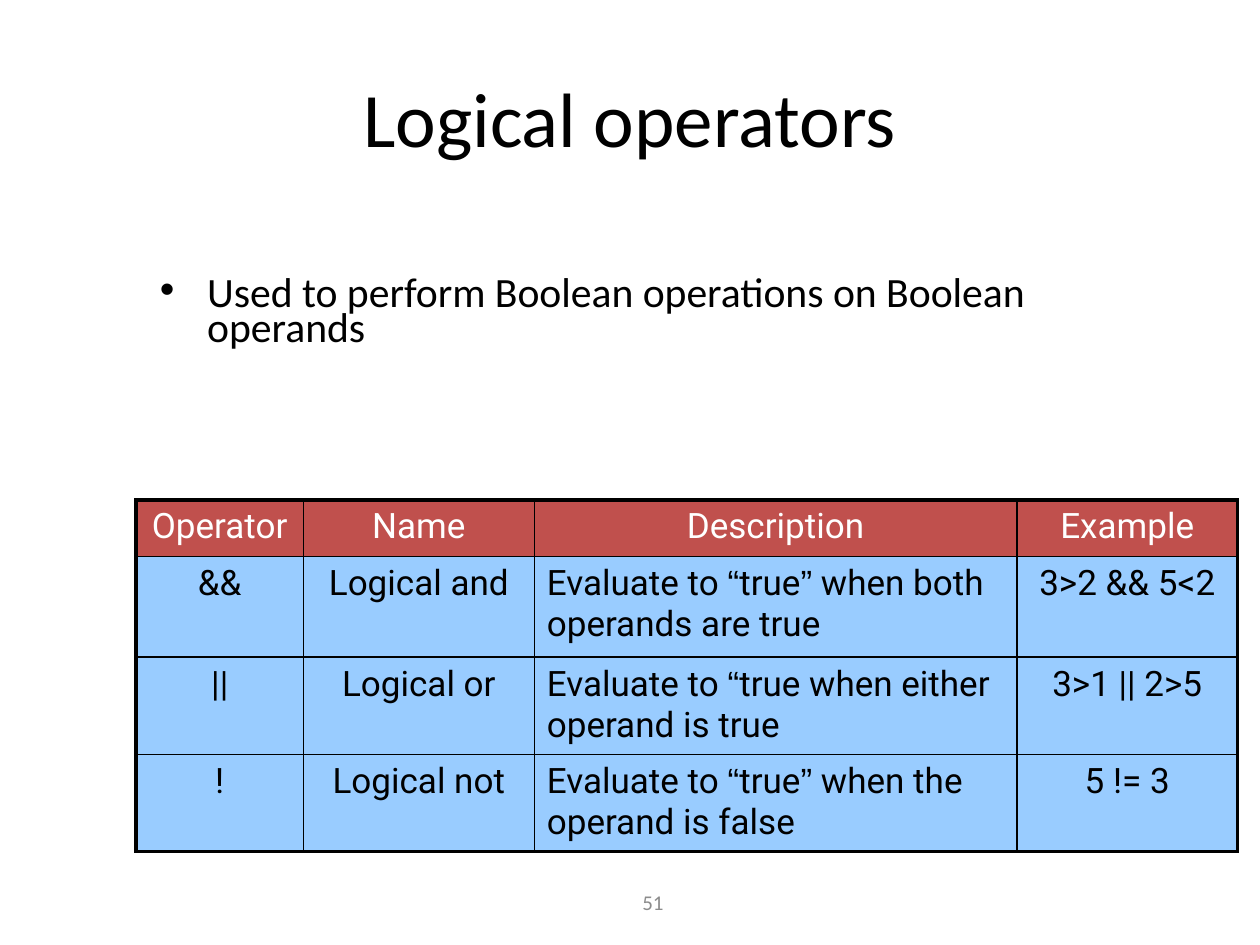
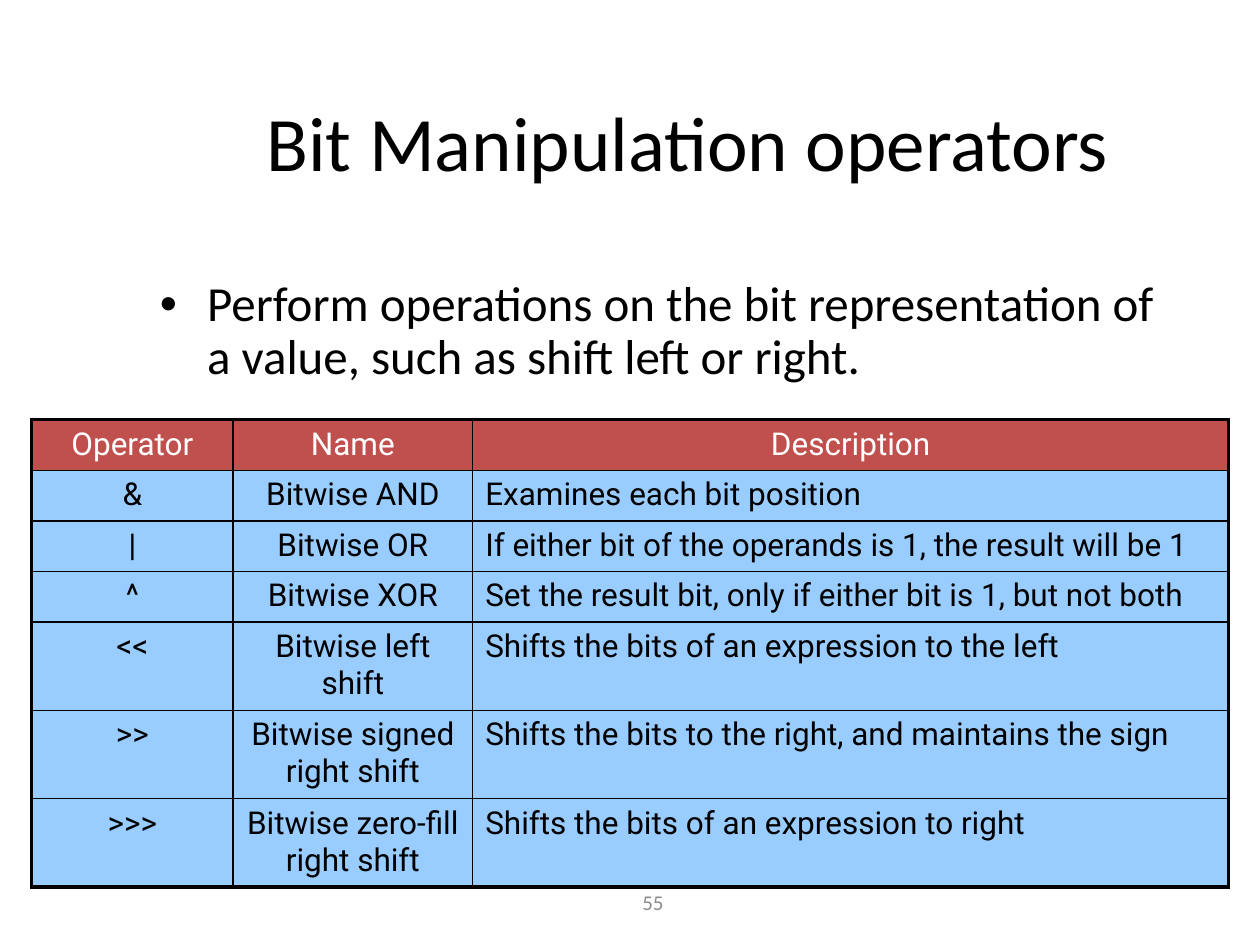
"""Build two slides that list logical and bitwise operators in tables."""
from dataclasses import dataclass
from itertools import groupby

from lxml.etree import SubElement
from pptx import Presentation
from pptx.dml.color import RGBColor
from pptx.enum.text import MSO_ANCHOR, MSO_AUTO_SIZE, PP_ALIGN
from pptx.oxml.ns import qn
from pptx.util import Cm, Pt

SLIDES = [
    dict(
        title="Logical operators", title_box=(1.27, 0.76, 22.86, 3.18),
        point="Used to perform Boolean operations on Boolean operands",
        point_box=(2.97, 5.51, 20.96, 1.7), point_size=23.8, lead=0.7,
        start=(2.74, 10.08), cols=[3.38, 4.65, 9.73, 4.45],
        tall=[1.14, 2.03, 1.96, 1.96], size=20, page="51",
        rows=[
            ("Operator", "Name", "Description", "Example"),
            ("&&", "Logical and", "Evaluate to “true” when both operands are true", "3>2 && 5<2"),
            ("||", "Logical or", "Evaluate to “true when either operand is true", "3>1 || 2>5"),
            ("!", "Logical not", "Evaluate to “true” when the operand is false", "5 != 3"),
        ],
    ),
    dict(
        title="Bit Manipulation operators", title_box=(2.97, 0.84, 21.79, 3.99),
        point="Perform operations on the bit representation of a value, such as shift left or right.",
        point_box=(2.97, 5.51, 20.96, 2.54), point_size=28, lead=0.9,
        start=(0.64, 8.46), cols=[4.06, 4.83, 15.24],
        tall=[1.02] * 4 + [1.78] * 3, size=18, page="55",
        rows=[
            ("Operator", "Name", "Description"),
            ("&", "Bitwise AND", "Examines each bit position"),
            ("|", "Bitwise OR", "If either bit of the operands is 1, the result will be 1"),
            ("^", "Bitwise XOR", "Set the result bit, only if either bit is 1, but not both"),
            ("<<", "Bitwise left shift", "Shifts the bits of an expression to the left"),
            (">>", "Bitwise signed right shift", "Shifts the bits to the right, and maintains the sign"),
            (">>>", "Bitwise zero-fill right shift", "Shifts the bits of an expression to right"),
        ],
    ),
]
PAGE_BOX = (12.7, 17.86, 1.7, 0.66)
TEXT_COL = 2


@dataclass(frozen=True)
class Theme:
    ink: str = "000000"
    light: str = "FFFFFF"
    grey: str = "8C8C8C"
    head: str = "C0504D"
    body: str = "99CCFF"
    main: str = "Calibri"
    grid: str = "Roboto"
    quote: str = "Arial"
    title: float = 44
    page: float = 12
    thin: float = 1
    thick: float = 2.25


THEME = Theme()


def write(frame, text, *, size, font=THEME.main, color=THEME.ink,
          align=PP_ALIGN.LEFT, lead=1.0, anchor=MSO_ANCHOR.TOP):
    frame.word_wrap = True
    frame.vertical_anchor = anchor
    para = frame.paragraphs[0]
    para.alignment = align
    para.line_spacing = lead
    para.space_before = Pt(0)
    for quoted, chars in groupby(text, lambda char: char in "“”"):
        run = para.add_run()
        run.text = "".join(chars)
        run.font.name = THEME.quote if quoted else font
        run.font.size = Pt(size)
        run.font.bold = False
        run.font.color.rgb = RGBColor.from_string(color)


def place(shape, box):
    shape.left, shape.top, shape.width, shape.height = map(Cm, box)
    shape.text_frame.auto_size = MSO_AUTO_SIZE.NONE


def edge(cell, sides):
    props = cell._tc.get_or_add_tcPr()
    for spot, (side, outer) in enumerate(sides.items()):
        width = Pt(THEME.thick if outer else THEME.thin)
        line = SubElement(props, qn(f"a:ln{side}"), w=str(width))
        fill = SubElement(line, qn("a:solidFill"))
        SubElement(fill, qn("a:srgbClr"), val=THEME.ink)
        props.insert(spot, line)


def add_grid(slide, rows, start, cols, tall, size):
    left, top, width, height = map(Cm, (*start, sum(cols), sum(tall)))
    table = slide.shapes.add_table(len(rows), len(cols), left, top, width, height).table
    table.first_row = table.horz_banding = False
    for col, width in zip(table.columns, cols):
        col.width = Cm(width)
    for row, height in zip(table.rows, tall):
        row.height = Cm(height)
    for y, row in enumerate(rows):
        for x, text in enumerate(row):
            cell = table.cell(y, x)
            head = y == 0
            cell.fill.solid()
            cell.fill.fore_color.rgb = RGBColor.from_string(THEME.head if head else THEME.body)
            write(cell.text_frame, text, size=size, font=THEME.grid,
                  color=THEME.light if head else THEME.ink,
                  align=PP_ALIGN.LEFT if x == TEXT_COL and not head else PP_ALIGN.CENTER)
            edge(cell, dict(L=x == 0, R=x == len(cols) - 1, T=head, B=y == len(rows) - 1))


def add_page(deck, data):
    slide = deck.slides.add_slide(deck.slide_layouts[1])
    title, point = slide.shapes.title, slide.placeholders[1]
    place(title, data["title_box"])
    write(title.text_frame, data["title"], size=THEME.title,
          align=PP_ALIGN.CENTER, anchor=MSO_ANCHOR.MIDDLE)
    place(point, data["point_box"])
    write(point.text_frame, data["point"], size=data["point_size"], lead=data["lead"])
    add_grid(slide, *(data[key] for key in ("rows", "start", "cols", "tall", "size")))
    page = slide.shapes.add_textbox(*map(Cm, PAGE_BOX))
    write(page.text_frame, data["page"], size=THEME.page,
          color=THEME.grey, anchor=MSO_ANCHOR.MIDDLE)


def main():
    deck = Presentation()
    deck.slide_width, deck.slide_height = Cm(25.4), Cm(19.05)
    for data in SLIDES:
        add_page(deck, data)
    deck.save("out.pptx")


if __name__ == "__main__":
    main()
